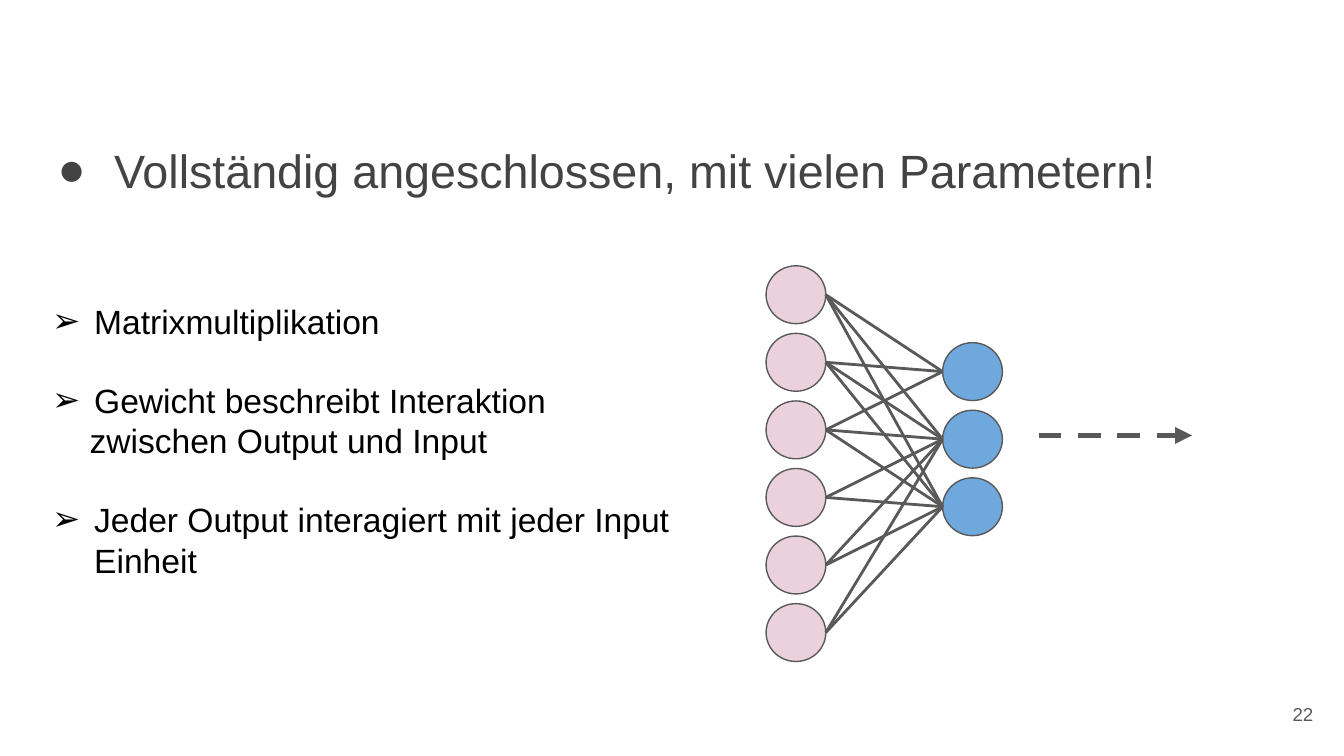
from lxml.etree import SubElement
from pptx import Presentation
from pptx.dml.color import RGBColor
from pptx.enum.dml import MSO_LINE
from pptx.enum.shapes import MSO_CONNECTOR, MSO_SHAPE
from pptx.enum.text import MSO_ANCHOR, PP_ALIGN
from pptx.oxml.ns import qn
from pptx.util import Pt

COLORS = {"heading": "434343", "text": "000000", "line": "595959",
          "input": "EAD1DC", "output": "6FA8DC"}


def add_text(bounds, paragraphs, size, color, margins, formats):
    box = page.shapes.add_textbox(*[Pt(value) for value in bounds])
    frame = box.text_frame
    frame.word_wrap = True
    frame.vertical_anchor = formats.get("anchor", MSO_ANCHOR.TOP)
    for side, value in zip(("left", "top", "right", "bottom"), margins):
        setattr(frame, f"margin_{side}", Pt(value))
    for index, (text, bullet, left, hanging, before) in enumerate(paragraphs):
        para = frame.paragraphs[0] if index == 0 else frame.add_paragraph()
        properties = para._p.get_or_add_pPr()
        properties.set("marL", str(Pt(left)))
        properties.set("indent", str(Pt(-hanging)))
        if bullet:
            bullet_color = SubElement(properties, qn("a:buClr"))
            SubElement(bullet_color, qn("a:srgbClr")).set("val", COLORS[color])
            SubElement(properties, qn("a:buFont")).set("typeface", "Arial")
            SubElement(properties, qn("a:buChar")).set("char", bullet)
        for name, value in formats.get("paragraph", {}).items():
            setattr(para, name, value)
        if before:
            para.space_before = Pt(before)
        span = para.add_run()
        span.text = text
        for name, value in {"name": "Arial", "size": Pt(size)}.items():
            setattr(span.font, name, value)
        span.font.color.rgb = RGBColor.from_string(COLORS[color])


def add_line(start, end, width):
    line = page.shapes.add_connector(
        MSO_CONNECTOR.STRAIGHT, *[Pt(value) for value in (*start, *end)])
    line.line.color.rgb = RGBColor.from_string(COLORS["line"])
    line.line.width = Pt(width)
    SubElement(line._element.spPr, qn("a:effectLst"))
    return line


deck = Presentation()
deck.slide_width = Pt(720)
deck.slide_height = Pt(405)
page = deck.slides.add_slide(deck.slide_layouts[6])

add_text((18, 64.1, 671, 285),
         [("Vollständig angeschlossen, mit vielen Parametern!", "●", 36, 30.2, 0)],
         25, "heading", (7.2, 7.2, 7.2, 7.2), {"paragraph": {"line_spacing": 1.15}})

node_width, node_height, node_step = 32, 31, 36.2
layers = {"input": (410.4, 142.4, 6), "output": (505, 183.6, 3)}
centers = {}
for layer, (left, top, count) in layers.items():
    centers[layer] = []
    for index in range(count):
        node_top = top + index * node_step
        node = page.shapes.add_shape(
            MSO_SHAPE.OVAL, Pt(left), Pt(node_top), Pt(node_width), Pt(node_height))
        node.shadow.inherit = False
        node.fill.solid()
        node.fill.fore_color.rgb = RGBColor.from_string(COLORS[layer])
        node.line.color.rgb = RGBColor.from_string(COLORS["line"])
        node.line.width = Pt(0.75)
        centers[layer].append(node_top + node_height / 2)

input_right = layers["input"][0] + node_width
output_left = layers["output"][0]
for index, start in enumerate(centers["input"]):
    targets = centers["output"] if index < 3 else centers["output"][1:]
    for end in targets:
        add_line((input_right, start), (output_left, end), 1.5)

arrow = add_line((556.6, 233.3), (638.6, 233.3), 3)
arrow.line.dash_style = MSO_LINE.DASH
SubElement(arrow.line._get_or_add_ln(), qn("a:tailEnd")).set("type", "triangle")

add_text((20.9, 157.7, 360, 160),
         [("Matrixmultiplikation", "➢", 22.5, 22.5, 0),
          ("Gewicht beschreibt Interaktion", "➢", 22.5, 22.5, 20.7),
          ("zwischen Output und Input", None, 20, 0, 0),
          ("Jeder Output interagiert mit jeder Input Einheit", "➢", 22.5, 22.5, 20.7)],
         18, "text", (7.2, 3.6, 7.2, 3.6), {})

add_text((667.4, 367.2, 43.2, 31), [("22", None, 0, 0, 0)], 10, "line",
         (7.2, 7.2, 7.2, 7.2),
         {"anchor": MSO_ANCHOR.MIDDLE, "paragraph": {"alignment": PP_ALIGN.RIGHT}})

deck.save("out.pptx")
